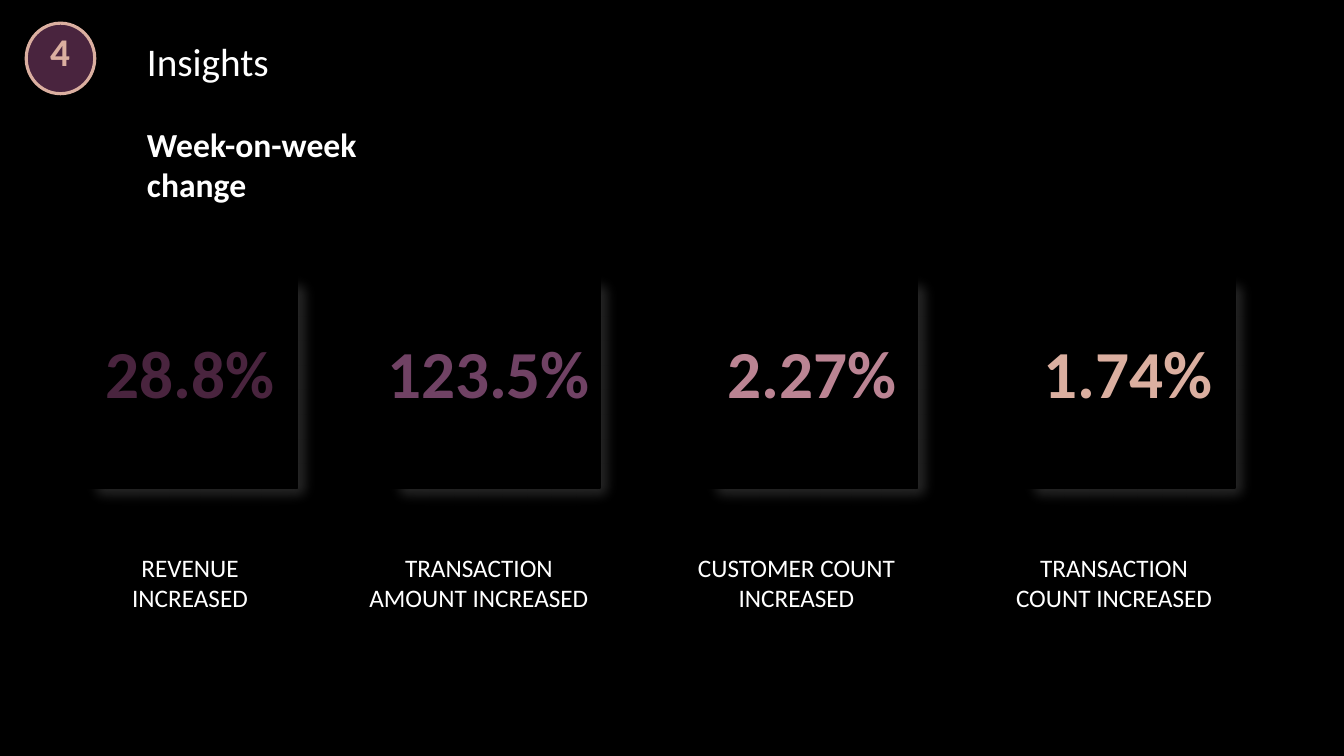
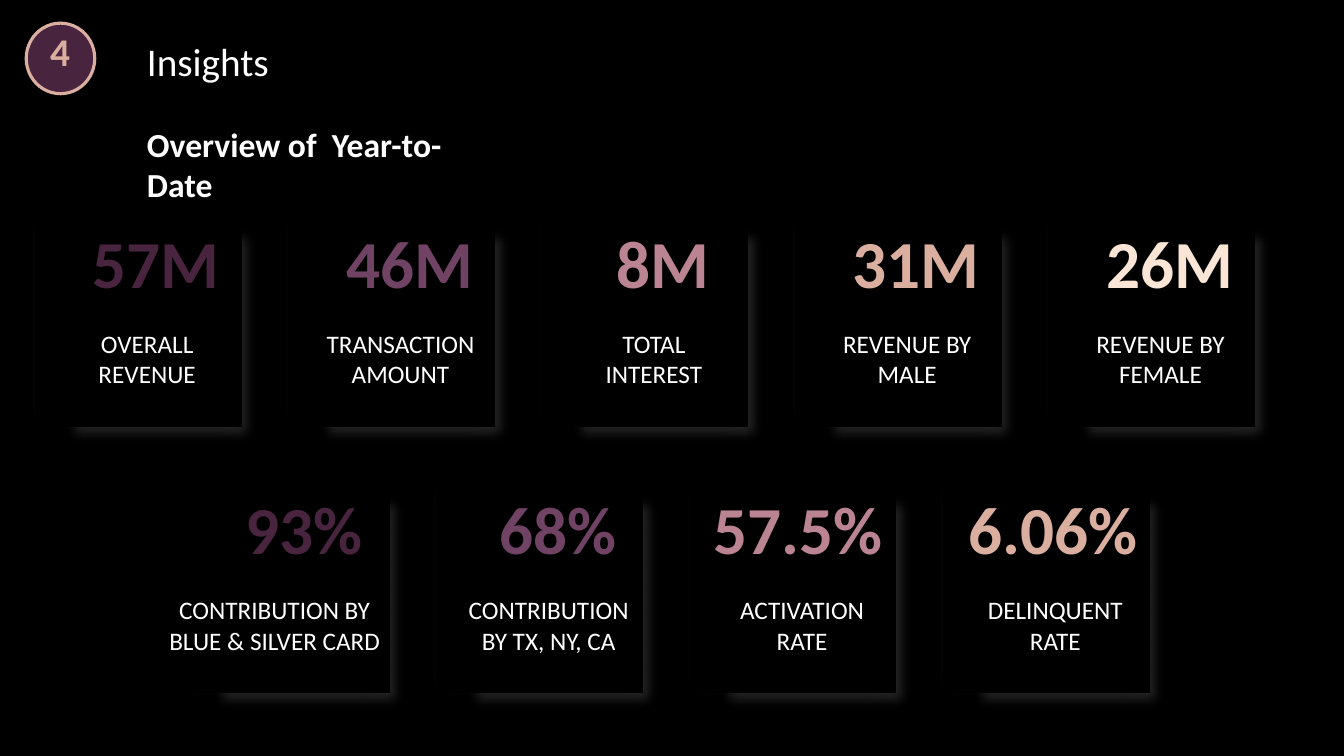
"""Build two insight slides with cards of key figures."""
from lxml import etree
from pptx import Presentation
from pptx.dml.color import RGBColor
from pptx.enum.shapes import MSO_SHAPE
from pptx.enum.text import MSO_AUTO_SIZE, PP_ALIGN
from pptx.oxml.ns import qn
from pptx.util import Inches, Pt

RECT, OVAL = MSO_SHAPE.RECTANGLE, MSO_SHAPE.OVAL
LEFT, CENTER = PP_ALIGN.LEFT, PP_ALIGN.CENTER
GROW = MSO_AUTO_SIZE.SHAPE_TO_FIT_TEXT
FONT = "Calibri"
COLORS = {"black": "000000", "white": "FFFFFF", "shade": "262626",
          "plum": "49243E", "mauve": "704264", "rose": "BB8493",
          "sand": "DBAFA0", "cream": "FBE5D6"}
TONES = ["plum", "mauve", "rose", "sand", "cream"]

NUMBER, TITLE = "4", "Insights"
WEEK_HEAD = ("Week-on-week change", 3.26)
WEEK = [
    {"left": 0.55, "value": "28.8%", "label": "REVENUE INCREASED",
     "num": (0.95, 2), "cap": (0.83, 2.11)},
    {"left": 3.55, "value": "123.5%", "label": "TRANSACTION AMOUNT INCREASED",
     "num": (3.74, 2.25)},
    {"left": 6.7, "value": "2.27%", "label": "CUSTOMER COUNT INCREASED",
     "num": (7.12, 2)},
    {"left": 9.85, "value": "1.74%", "label": "TRANSACTION COUNT INCREASED",
     "num": (10.25, 2)},
]
YEAR_HEAD = ("Overview of  Year-to-Date", 3.6)
YEAR = [
    (0.35, 2.06, [
        {"value": "57M", "label": "OVERALL REVENUE"},
        {"value": "46M", "label": "TRANSACTION AMOUNT"},
        {"value": "8M", "label": "TOTAL INTEREST"},
        {"value": "31M", "label": "REVENUE BY MALE"},
        {"value": "26M", "label": "REVENUE BY FEMALE"},
    ]),
    (1.82, 4.7, [
        {"value": "93%", "label": "CONTRIBUTION BY BLUE & SILVER CARD",
         "extra": 0.3, "cap": (-0.26, 2.33)},
        {"value": "68%", "label": "CONTRIBUTION BY TX, NY, CA"},
        {"value": "57.5%", "label": "ACTIVATION RATE", "num": (0.1, 1.95)},
        {"value": "6.06%", "label": "DELINQUENT RATE", "num": (0.14, 1.9)},
    ]),
]
WEEK_W, WEEK_H, WEEK_TOP = 2.4, 2.42, 2.42
YEAR_W, YEAR_H, YEAR_STEP = 2.04, 2.17, 2.5125
BACK_H = 2.26


def rgb(name):
    return RGBColor.from_string(COLORS[name])


def put_text(shapes, text, x, y, w, h, size=18, color="white", bold=False,
             align=LEFT):
    box = shapes.add_textbox(Inches(x), Inches(y), Inches(w), Inches(h))
    frame = box.text_frame
    frame.word_wrap = True
    frame.auto_size = GROW
    para = frame.paragraphs[0]
    para.alignment = align
    run = para.add_run()
    run.text = text
    font = run.font
    font.name, font.size, font.bold = FONT, Pt(size), bold
    font.color.rgb = rgb(color)


def put_shape(shapes, kind, x, y, w, h, fill, line, width=1):
    shape = shapes.add_shape(kind, Inches(x), Inches(y), Inches(w), Inches(h))
    shape.fill.solid()
    shape.fill.fore_color.rgb = rgb(fill)
    shape.line.color.rgb = rgb(line)
    shape.line.width = Pt(width)
    shape.shadow.inherit = False
    return shape


def put_back(shapes, x, y, w, h):
    shape = put_shape(shapes, RECT, x, y, w, h, "shade", "shade")
    effects = shape._element.spPr.find(qn("a:effectLst"))
    shade = etree.SubElement(effects, qn("a:outerShdw"), blurRad=str(Pt(4)),
                             dist=str(Pt(3)), dir="2700000", algn="tl",
                             rotWithShape="0")
    color = etree.SubElement(shade, qn("a:srgbClr"), val=COLORS["black"])
    etree.SubElement(color, qn("a:alpha"), val="40000")
    etree.SubElement(effects, qn("a:softEdge"), rad=str(Pt(10)))


def put_front(shapes, x, y, w, h):
    put_shape(shapes, RECT, x, y, w, h, "black", "black")


def put_pair(shapes, card, tone, num, cap, num_y, cap_y, align):
    put_text(shapes, card["value"], num[0], num_y, num[1], 0.91, size=48,
             color=tone, bold=True, align=align)
    put_text(shapes, card["label"], cap[0], cap_y, cap[1], 0.71, align=CENTER)


def new_slide(deck, head, width):
    shapes = deck.slides.add_slide(deck.slide_layouts[6]).shapes
    badge = shapes.add_group_shape().shapes
    put_shape(badge, OVAL, 0.26, 0.23, 0.68, 0.7, "plum", "sand", 2.25)
    put_text(badge, NUMBER, 0.4, 0.22, 0.43, 0.57, size=28, color="sand",
             bold=True)
    put_text(shapes, TITLE, 1.36, 0.32, 2.73, 0.57, size=28)
    put_text(shapes, head, 1.36, 1.18, width, 0.5, size=24, bold=True)
    return shapes


def week_slide(deck):
    shapes = new_slide(deck, *WEEK_HEAD)
    for card, tone in zip(WEEK, TONES):
        x = card["left"]
        put_back(shapes, x + 0.24, WEEK_TOP + 0.24, WEEK_W, WEEK_H)
        put_front(shapes, x, WEEK_TOP, WEEK_W, WEEK_H)
        put_pair(shapes, card, tone, card["num"], card.get("cap", (x, WEEK_W)),
                 3.24, 5.43, LEFT)


def year_slide(deck):
    shapes = new_slide(deck, *YEAR_HEAD)
    for start, y, cards in YEAR:
        for i, (card, tone) in enumerate(zip(cards, TONES)):
            x = start + i * YEAR_STEP
            extra = card.get("extra", 0)
            num_x, num_w = card.get("num", (0.35, 1.7))
            cap_x, cap_w = card.get("cap", (0.21, 1.8))
            put_back(shapes, x + 0.22, y + 0.14, YEAR_W, BACK_H)
            put_back(shapes, x - 0.11, y, YEAR_W, BACK_H)
            put_front(shapes, x - extra, y, YEAR_W + extra, YEAR_H)
            put_pair(shapes, card, tone, (x + num_x, num_w),
                     (x + cap_x, cap_w), y + 0.09, y + 1.15, CENTER)


def main():
    deck = Presentation()
    deck.slide_width, deck.slide_height = Inches(13.33), Inches(7.5)
    ground = deck.slide_master.background.fill
    ground.solid()
    ground.fore_color.rgb = rgb("black")
    week_slide(deck)
    year_slide(deck)
    deck.save("out.pptx")


if __name__ == "__main__":
    main()
